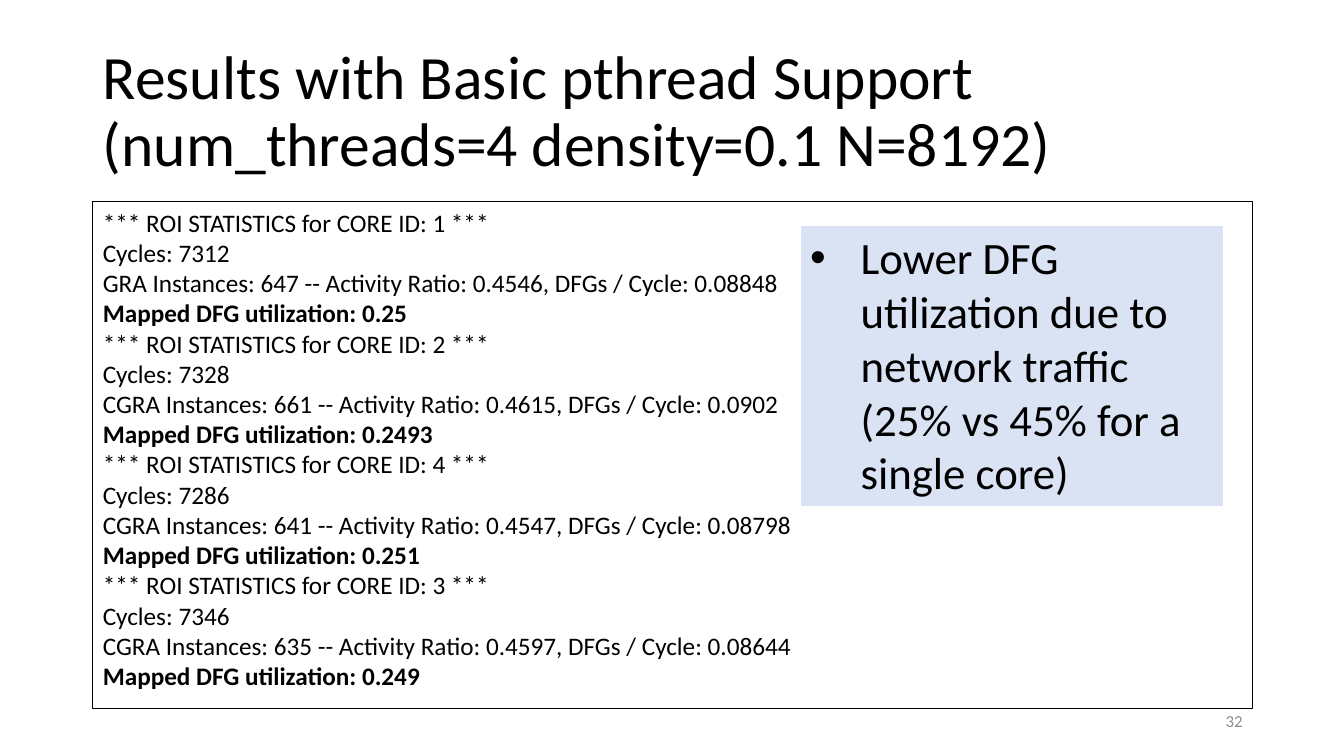
import dataclasses

import lxml.etree
import pptx
import pptx.dml.color
import pptx.enum.shapes
import pptx.enum.text
import pptx.oxml.ns
import pptx.util

Inches, Pt = pptx.util.Inches, pptx.util.Pt
RGB = pptx.dml.color.RGBColor.from_string
ALIGN = pptx.enum.text.PP_ALIGN
ANCHOR = pptx.enum.text.MSO_ANCHOR


@dataclasses.dataclass(frozen=True)
class Theme:
    font: str = "Calibri"
    ink: str = "000000"
    muted: str = "8C8C8C"
    paper: str = "FFFFFF"
    highlight: str = "DAE3F3"
    title_size: float = 44
    callout_size: float = 32
    log_size: float = 18
    number_size: float = 12
    outline: float = 0.75


@dataclasses.dataclass(frozen=True)
class Box:
    left: float
    top: float
    width: float
    height: float

    def inside(self, left, top, width, height):
        """Box given as shares of this one."""
        return Box(self.left + left * self.width, self.top + top * self.height,
                   width * self.width, height * self.height)

    def emu(self):
        return [Inches(n) for n in (self.left, self.top, self.width, self.height)]


THEME = Theme()
PAGE = Box(0, 0, 13.33, 7.5)
TITLE = "Results with Basic pthread Support (num_threads=4 density=0.1 N=8192)"
FINDING = "Lower DFG utilization due to network traffic (25% vs 45% for a single core)"
# Core, cycles, instance label, instances, activity ratio, DFGs per cycle, utilization
CORES = [
    (1, 7312, "GRA", 647, "0.4546", "0.08848", "0.25"),
    (2, 7328, "CGRA", 661, "0.4615", "0.0902", "0.2493"),
    (4, 7286, "CGRA", 641, "0.4547", "0.08798", "0.251"),
    (3, 7346, "CGRA", 635, "0.4597", "0.08644", "0.249"),
]


def place(holder, box):
    holder.left, holder.top, holder.width, holder.height = box.emu()


def set_bullet(paragraph, char=None, indent=0):
    props = paragraph._p.get_or_add_pPr()
    props.set("marL", str(Inches(indent)))
    props.set("indent", str(-Inches(indent)))
    if char:
        font = lxml.etree.SubElement(props, pptx.oxml.ns.qn("a:buFont"))
        font.set("typeface", "Arial")
        bullet = lxml.etree.SubElement(props, pptx.oxml.ns.qn("a:buChar"))
        bullet.set("char", char)
    else:
        lxml.etree.SubElement(props, pptx.oxml.ns.qn("a:buNone"))


def style(paragraph, size, color=THEME.ink, bold=False, align=ALIGN.LEFT, spacing=1.0):
    paragraph.alignment = align
    paragraph.line_spacing = spacing
    paragraph.space_before = Pt(0)
    for run in paragraph.runs:
        run.font.name = THEME.font
        run.font.size = Pt(size)
        run.font.bold = bold
        run.font.color.rgb = RGB(color)


def outline(shape, color):
    shape.line.color.rgb = RGB(color)
    shape.line.width = Pt(THEME.outline)


def add_title(slide, box):
    title = slide.shapes.title
    place(title, box)
    frame = title.text_frame
    frame.text = TITLE
    frame.auto_size = pptx.enum.text.MSO_AUTO_SIZE.NONE
    frame.vertical_anchor = ANCHOR.MIDDLE
    style(frame.paragraphs[0], THEME.title_size, spacing=0.9)


def add_statistics(slide, box):
    statistics = slide.placeholders[1]
    place(statistics, box)
    outline(statistics, THEME.ink)
    lines = []
    for core, cycles, label, instances, activity, rate, utilization in CORES:
        lines += [
            f"*** ROI STATISTICS for CORE ID: {core} ***",
            f"Cycles: {cycles}",
            f"{label} Instances: {instances} -- Activity Ratio: {activity}, DFGs / Cycle: {rate}",
            f"Mapped DFG utilization: {utilization}",
        ]
    frame = statistics.text_frame
    frame.text = "\n".join(lines)
    frame.auto_size = pptx.enum.text.MSO_AUTO_SIZE.NONE
    frame.vertical_anchor = ANCHOR.TOP
    for paragraph in frame.paragraphs:
        set_bullet(paragraph)
        style(paragraph, THEME.log_size, bold=paragraph.text.startswith("Mapped"))


def add_finding(slide, box):
    finding = slide.shapes.add_shape(pptx.enum.shapes.MSO_SHAPE.RECTANGLE, *box.emu())
    finding.shadow.inherit = False
    finding.fill.solid()
    finding.fill.fore_color.rgb = RGB(THEME.highlight)
    outline(finding, THEME.paper)
    frame = finding.text_frame
    frame.text = FINDING
    frame.word_wrap = True
    frame.auto_size = pptx.enum.text.MSO_AUTO_SIZE.SHAPE_TO_FIT_TEXT
    frame.vertical_anchor = ANCHOR.TOP
    set_bullet(frame.paragraphs[0], "•", 0.5)
    style(frame.paragraphs[0], THEME.callout_size)


def add_page_number(slide, box, number):
    frame = slide.shapes.add_textbox(*box.emu()).text_frame
    frame.text = str(number)
    frame.word_wrap = True
    frame.vertical_anchor = ANCHOR.MIDDLE
    style(frame.paragraphs[0], THEME.number_size, THEME.muted, align=ALIGN.RIGHT)


def build_results_slide(deck, page):
    slide = deck.slides.add_slide(deck.slide_layouts[1])
    # Title above, core statistics below
    add_title(slide, page.inside(0.069, 0.053, 0.863, 0.193))
    statistics = page.inside(0.069, 0.267, 0.863, 0.67)
    add_page_number(slide, page.inside(0.707, 0.927, 0.225, 0.053), 32)
    add_statistics(slide, statistics)
    # Finding in the upper right of the statistics
    add_finding(slide, statistics.inside(0.61, 0.046, 0.365, 0.555))


def main():
    deck = pptx.Presentation()
    deck.slide_width, deck.slide_height = Inches(PAGE.width), Inches(PAGE.height)
    build_results_slide(deck, PAGE)
    deck.save("out.pptx")


if __name__ == "__main__":
    main()
